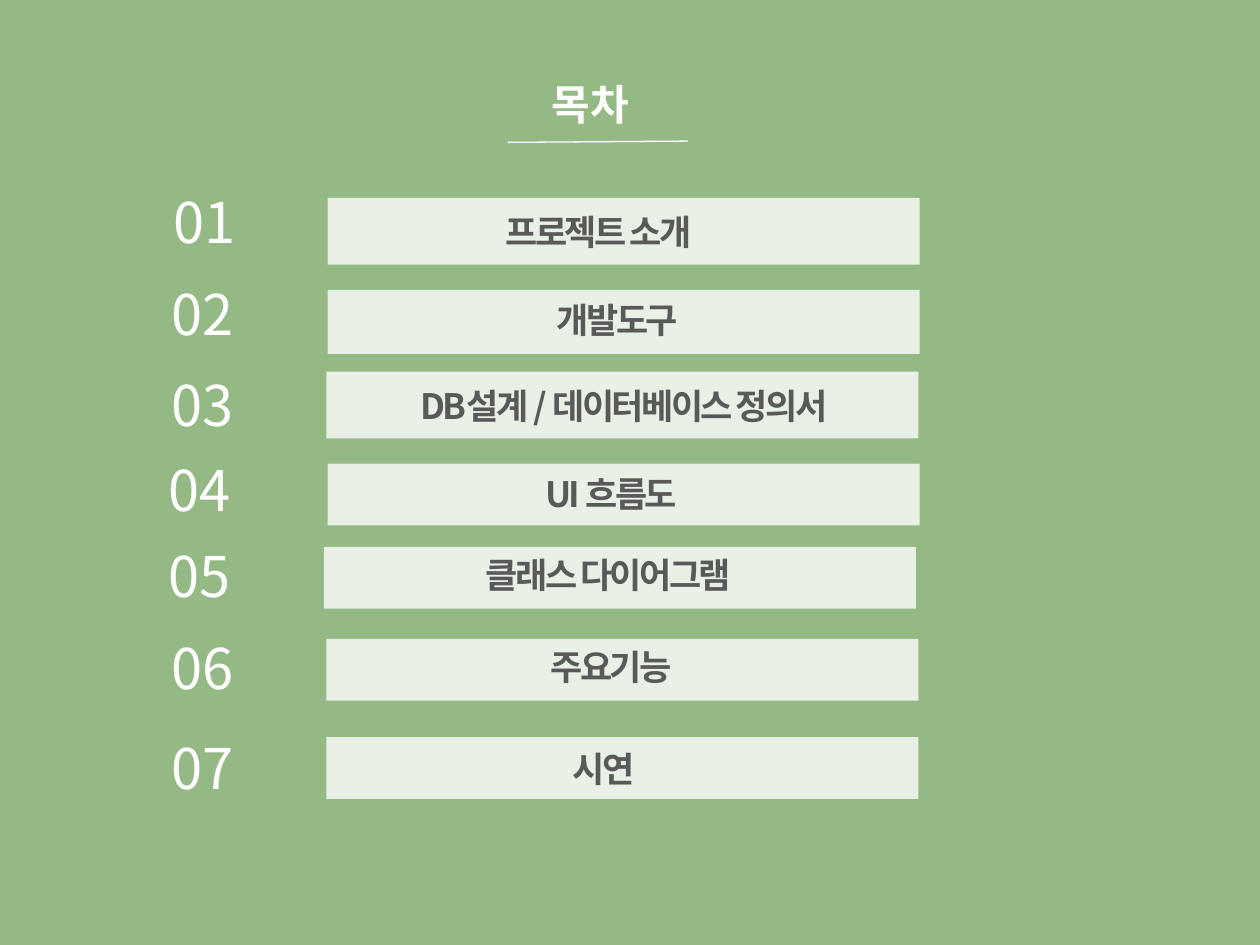
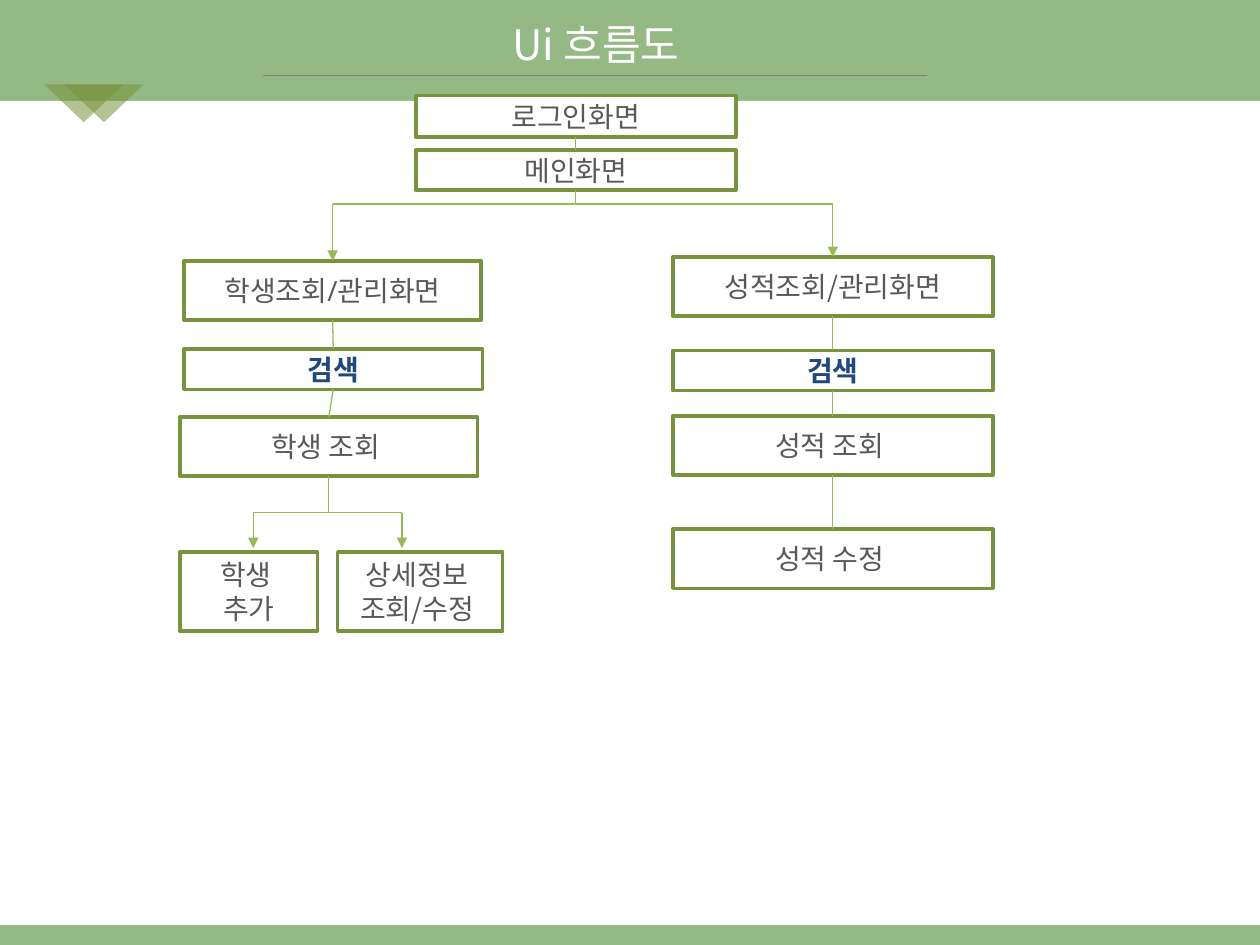
from pptx import Presentation
from pptx.dml.color import RGBColor
from pptx.enum.shapes import MSO_CONNECTOR, MSO_SHAPE
from pptx.enum.text import MSO_ANCHOR, MSO_AUTO_SIZE, PP_ALIGN
from pptx.oxml.ns import qn
from pptx.util import Inches, Pt
from lxml import etree

RECTANGLE, TRIANGLE = MSO_SHAPE.RECTANGLE, MSO_SHAPE.ISOSCELES_TRIANGLE
STRAIGHT = MSO_CONNECTOR.STRAIGHT
LEFT, CENTER = PP_ALIGN.LEFT, PP_ALIGN.CENTER
TOP, MIDDLE = MSO_ANCHOR.TOP, MSO_ANCHOR.MIDDLE
TOP_SIDE, BOTTOM_SIDE = 0, 2
TITLE_ONLY = 5

GREEN = RGBColor(0x94, 0xB9, 0x85)
OLIVE = RGBColor(0x77, 0x93, 0x3C)
LIME = RGBColor(0x98, 0xB9, 0x55)
WHITE = RGBColor(0xFF, 0xFF, 0xFF)
GRAY = RGBColor(0x80, 0x80, 0x80)
DARK = RGBColor(0x59, 0x59, 0x59)
NAVY = RGBColor(0x1F, 0x49, 0x7D)
KOREAN, LATIN = "Noto Sans CJK KR", "Open Sans"

# Contents: number (left, top), bar (left, top, height), label (left, top, width)
AGENDA = [
    ("프로젝트 소개", (1.28, 1.44), (2.6, 1.57, 0.53), (2.19, 1.62, 5.12)),
    ("개발도구", (1.26, 2.17), (2.6, 2.3, 0.51), (2.55, 2.32, 4.7)),
    ("DB설계 / 데이터베이스 정의서", (1.26, 2.89), (2.59, 2.95, 0.53), (2.71, 3, 4.48)),
    ("UI 흐름도", (1.24, 3.57), (2.6, 3.68, 0.49), (2.5, 3.7, 4.7)),
    ("클래스 다이어그램", (1.24, 4.25), (2.57, 4.34, 0.49), (2.48, 4.34, 4.7)),
    ("주요기능", (1.26, 4.98), (2.59, 5.07, 0.49), (2.5, 5.07, 4.7)),
    ("시연", (1.26, 5.77), (2.59, 5.85, 0.49), (2.44, 5.88, 4.7)),
]
BAR_WIDTH, NUMBER_WIDTH = 4.7, 1.3

# Flow chart: name -> (text, (left, top, width, height), Latin font)
SCREENS = {
    "login": ("로그인화면", (3.3, 0.76, 2.54, 0.33), KOREAN),
    "main": ("메인화면", (3.3, 1.19, 2.54, 0.32), KOREAN),
    "students": ("학생조회/관리화면", (1.46, 2.07, 2.36, 0.47), LATIN),
    "student search": ("검색", (1.46, 2.77, 2.37, 0.32), KOREAN),
    "student list": ("학생 조회 ", (1.43, 3.31, 2.36, 0.47), LATIN),
    "student add": ("학생 \n추가", (1.43, 4.38, 1.09, 0.63), KOREAN),
    "student detail": ("상세정보 \n조회/수정 ", (2.68, 4.38, 1.31, 0.63), KOREAN),
    "grades": ("성적조회/관리화면", (5.34, 2.04, 2.54, 0.47), KOREAN),
    "grade search": ("검색", (5.34, 2.78, 2.54, 0.32), KOREAN),
    "grade list": ("성적 조회 ", (5.34, 3.3, 2.54, 0.47), LATIN),
    "grade edit": ("성적 수정 ", (5.34, 4.2, 2.54, 0.47), KOREAN),
}
CHAINS = [
    ("login", "main"),
    ("students", "student search", "student list"),
    ("grades", "grade search", "grade list", "grade edit"),
]
MAIN_BRANCH_Y = 1.62
LIST_BRANCH_Y, LIST_ARROW_END, LIST_ARROWS = 4.07, 4.35, (2.01, 3.19)


def inches(*values):
    return [Inches(value) for value in values]


def write(frame, text, size, color, align=CENTER, anchor=TOP, bold=False,
          font=KOREAN, spacing=None):
    """Put text in a frame and format every run."""
    frame.text = text
    frame.word_wrap = True
    frame.vertical_anchor = anchor
    for para in frame.paragraphs:
        para.alignment = align
        for span in para.runs:
            span.font.size, span.font.bold = Pt(size), bold
            span.font.name, span.font.color.rgb = font, color
            properties = span.font._element
            etree.SubElement(properties, qn("a:ea")).set("typeface", KOREAN)
            if spacing is not None:
                properties.set("spc", str(int(spacing * 100)))


def add_page(deck, title, place, align, bold):
    page = deck.slides.add_slide(deck.slide_layouts[TITLE_ONLY])
    page.background.fill.solid()
    page.background.fill.fore_color.rgb = GREEN
    heading = page.shapes.title
    heading.left, heading.top, heading.width, heading.height = inches(*place)
    write(heading.text_frame, title, 24, WHITE, align, bold=bold)
    heading.text_frame.auto_size = MSO_AUTO_SIZE.NONE
    return page


def add_label(page, place, text, size, color, **style):
    box = page.shapes.add_textbox(*inches(*place))
    write(box.text_frame, text, size, color, **style)
    box.text_frame.auto_size = MSO_AUTO_SIZE.SHAPE_TO_FIT_TEXT


def add_block(page, kind, place, fill, opacity=100, line=None):
    block = page.shapes.add_shape(kind, *inches(*place))
    block.shadow.inherit = False
    block.fill.solid()
    block.fill.fore_color.rgb = fill
    if opacity < 100:
        color = block._element.spPr.find(".//" + qn("a:srgbClr"))
        etree.SubElement(color, qn("a:alpha")).set("val", str(opacity * 1000))
    if line is None:
        block.line.fill.background()
    else:
        block.line.color.rgb, block.line.width = line, Pt(2)
    return block


def add_line(page, start, end, color=LIME, arrow=False):
    line = page.shapes.add_connector(STRAIGHT, *inches(*start, *end))
    line.line.color.rgb, line.line.width = color, Pt(0.75)
    if arrow:
        etree.SubElement(line.line._get_or_add_ln(), qn("a:tailEnd")).set("type", "triangle")
    etree.SubElement(line._element.spPr, qn("a:effectLst"))
    return line


def center_x(name):
    left, _, width, _ = SCREENS[name][1]
    return left + width / 2


def build_agenda(deck):
    page = add_page(deck, "목차", (4.28, 0.57, 1.34, 0.5), LEFT, True)
    add_line(page, (4.03, 1.13), (5.46, 1.12), WHITE)
    for number, (text, number_at, bar, label) in enumerate(AGENDA, 1):
        add_label(page, (*number_at, NUMBER_WIDTH, 0.64), f"{number:02}", 32, WHITE, align=LEFT)
        left, top, height = bar
        add_block(page, RECTANGLE, (left, top, BAR_WIDTH, height), WHITE, 80)
        add_label(page, (*label, 0.44), text, 20, DARK, bold=True, spacing=-1.5)


def build_flow(deck):
    page = add_page(deck, "Ui 흐름도", (3.45, 0.1, 2.56, 0.5), CENTER, False)

    # White panel, title rule and corner triangles
    add_block(page, RECTANGLE, (0, 0.8, 10, 6.54), WHITE)
    add_line(page, (2.09, 0.6), (7.36, 0.6), GRAY)
    for left in (0.35, 0.51):
        add_block(page, TRIANGLE, (left, 0.67, 0.63, 0.3), OLIVE, 55).rotation = 180

    # Screens
    boxes = {}
    for name, (text, place, font) in SCREENS.items():
        boxes[name] = add_block(page, RECTANGLE, place, WHITE, line=OLIVE)
        search = name.endswith("search")
        write(boxes[name].text_frame, text, 16, NAVY if search else DARK,
              anchor=MIDDLE, bold=search, font=font)

    # Straight links from each screen to the next
    for chain in CHAINS:
        for upper, lower in zip(chain, chain[1:]):
            link = add_line(page, (0, 0), (0, 0))
            link.begin_connect(boxes[upper], BOTTOM_SIDE)
            link.end_connect(boxes[lower], TOP_SIDE)

    # Stems down to the two branch lines
    for name, branch_y in (("main", MAIN_BRANCH_Y), ("student list", LIST_BRANCH_Y)):
        stem = add_line(page, (center_x(name), 0), (center_x(name), branch_y))
        stem.begin_connect(boxes[name], BOTTOM_SIDE)

    # Branch lines and their arrows
    targets = ("students", "grades")
    add_line(page, *[(center_x(name), MAIN_BRANCH_Y) for name in targets])
    for name in targets:
        x = center_x(name)
        arrow = add_line(page, (x, MAIN_BRANCH_Y), (x, 2), arrow=True)
        arrow.end_connect(boxes[name], TOP_SIDE)
    add_line(page, *[(x, LIST_BRANCH_Y) for x in LIST_ARROWS])
    for x in LIST_ARROWS:
        add_line(page, (x, LIST_BRANCH_Y), (x, LIST_ARROW_END), arrow=True)


def main():
    deck = Presentation()
    deck.slide_width, deck.slide_height = inches(10, 7.5)
    build_agenda(deck)
    build_flow(deck)
    deck.save("out.pptx")


if __name__ == "__main__":
    main()
